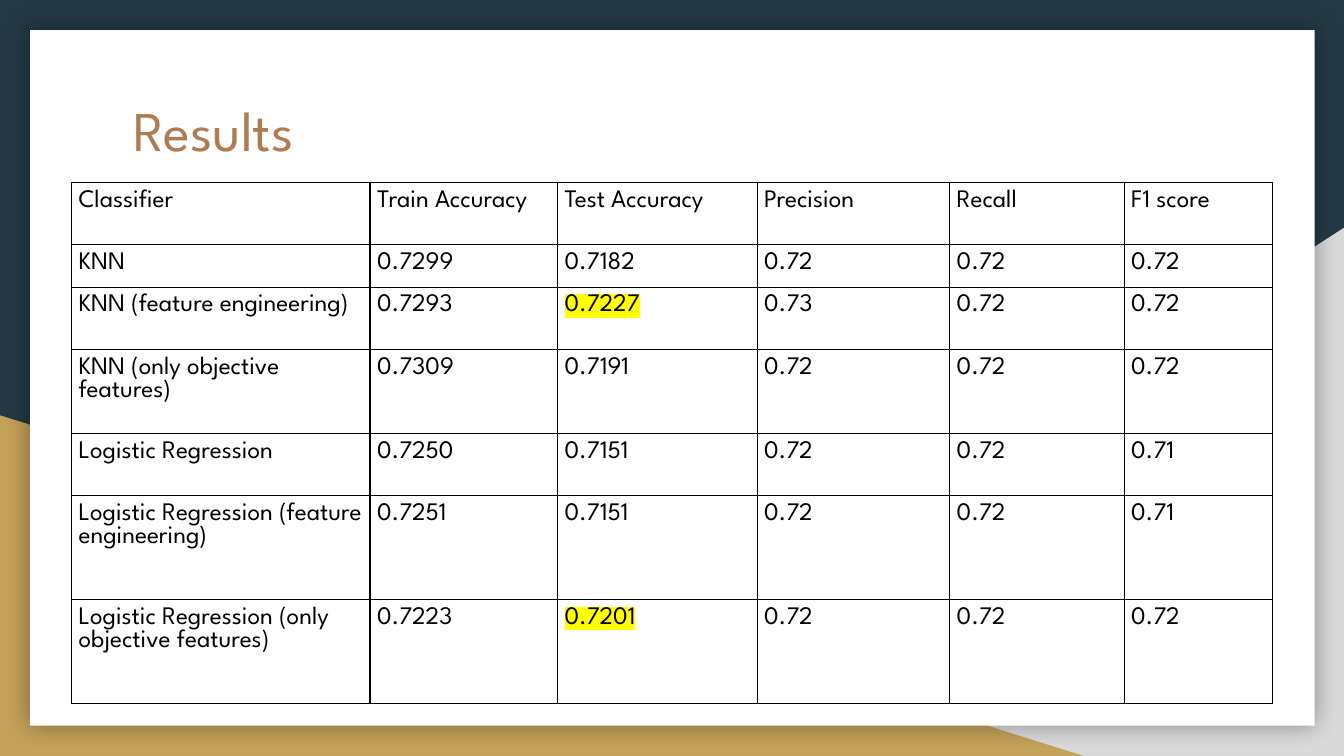
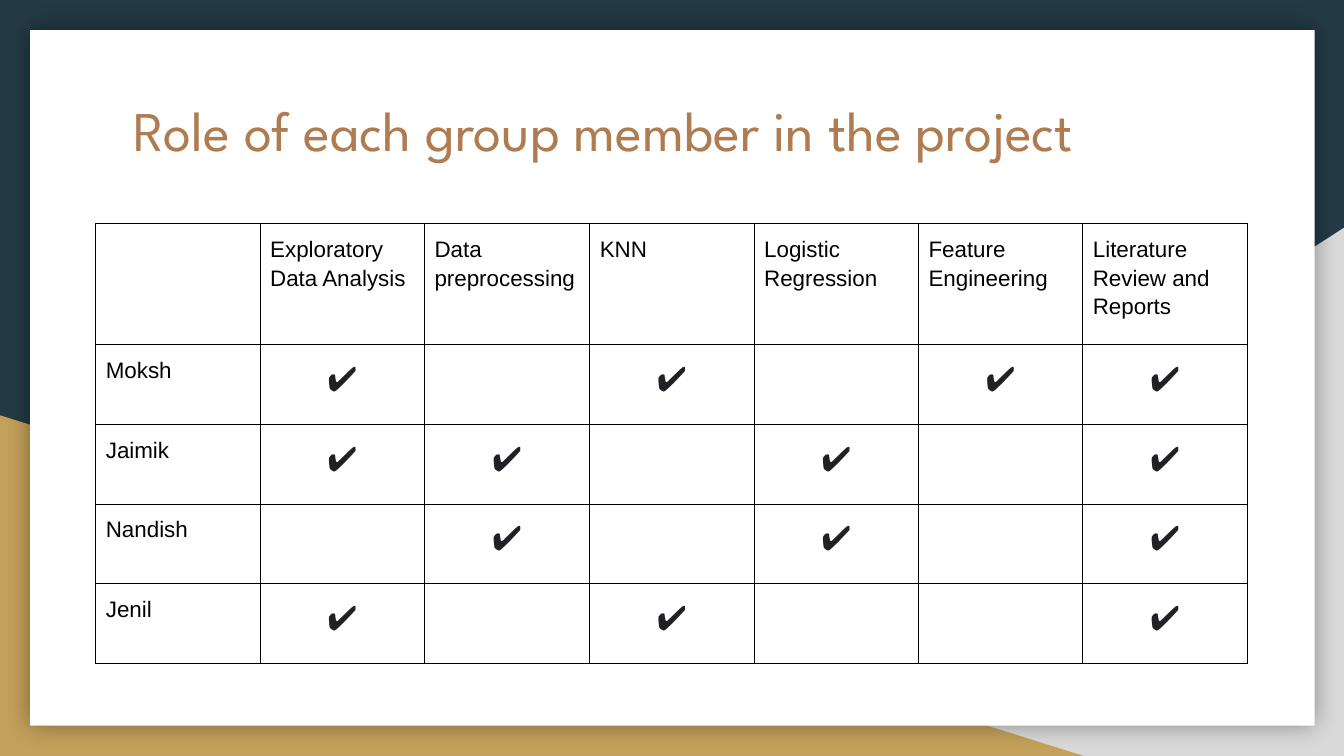
from dataclasses import dataclass
from lxml import etree
from pptx import Presentation, util as u
from pptx.dml import color
from pptx.enum import shapes, text
from pptx.oxml import ns

PX = 9144
HEAD, BODY = "League Spartan", "Arial"
INK, NAVY, GOLD, GREY, WHITE = "000000", "233A44", "C4A15A", "D9D9D9", "FFFFFF"
BROWN, MARK, GLOW = "AF7B51", "202124", "FFFF00"
TICK = "✔"


@dataclass
class Panel:
    kind: shapes.MSO_SHAPE
    box: tuple[int, int, int, int]
    fill: str
    flip: bool = False
    shade: bool = False


@dataclass
class Grid:
    title: str
    left: int
    top: int
    cols: list[int]
    rows: list[int]
    cells: list[list[str]]
    font: str
    size: int
    inset: int
    line: float
    space: float | None = None
    lit: tuple[str, ...] = ()


PANELS = [
    Panel(shapes.MSO_SHAPE.RIGHT_TRIANGLE, (522, 226, 811, 524), GREY, flip=True),
    Panel(shapes.MSO_SHAPE.RIGHT_TRIANGLE, (0, 412, 1075, 338), GOLD),
    Panel(shapes.MSO_SHAPE.RECTANGLE, (30, 30, 1274, 690), WHITE, shade=True),
]

SCORES = [
    ["Classifier", "Train Accuracy", "Test Accuracy", "Precision", "Recall", "F1 score"],
    ["KNN", "0.7299", "0.7182", "0.72", "0.72", "0.72"],
    ["KNN (feature engineering)", "0.7293", "0.7227", "0.73", "0.72", "0.72"],
    ["KNN (only objective features)", "0.7309", "0.7191", "0.72", "0.72", "0.72"],
    ["Logistic Regression", "0.7250", "0.7151", "0.72", "0.72", "0.71"],
    ["Logistic Regression (feature engineering)", "0.7251", "0.7151", "0.72", "0.72", "0.71"],
    ["Logistic Regression (only objective features)", "0.7223", "0.7201", "0.72", "0.72", "0.72"],
]

TASKS = ["Exploratory Data Analysis", "Data preprocessing", "KNN", "Logistic Regression",
         "Feature Engineering", "Literature Review and Reports"]
ROLES = {"Moksh": (0, 2, 4, 5), "Jaimik": (0, 1, 3, 5), "Nandish": (1, 3, 5), "Jenil": (0, 2, 5)}
DUTIES = [["", *TASKS]] + [
    [name, *(TICK if i in done else "" for i in range(len(TASKS)))]
    for name, done in ROLES.items()
]

GRIDS = [
    Grid("Results", 71, 181, [296, 186, 198, 191, 173, 147],
         [62, 42, 62, 83, 62, 103, 103], SCORES, HEAD, 18, 7, 1, lit=("0.7227", "0.7201")),
    Grid("Role of each group member in the project", 95, 222,
         [163, 163, 164, 163, 163, 163, 163], [120] + [79] * 4,
         DUTIES, BODY, 16, 10, 0.75, space=1.15),
]


def px(num: int) -> u.Emu:
    return u.Emu(num * PX)


def rgb(code: str) -> color.RGBColor:
    return color.RGBColor.from_string(code)


def sub(node, tag: str, **attrs):
    return etree.SubElement(node, ns.qn(tag), {key: str(val) for key, val in attrs.items()})


def add_run(para, words: str, font: str, size: float, tint: str, glow: str = "") -> None:
    run = para.add_run()
    run.text = words
    run.font.size = u.Pt(size)
    run.font.name = font
    run.font.color.rgb = rgb(tint)
    if glow:
        props = run.font._element
        light = sub(props, "a:highlight")
        sub(light, "a:srgbClr", val=glow)
        props.find(ns.qn("a:latin")).addprevious(light)


def draw_panel(slide, panel: Panel):
    shape = slide.shapes.add_shape(panel.kind, *map(px, panel.box))
    shape.fill.solid()
    shape.fill.fore_color.rgb = rgb(panel.fill)
    shape.line.fill.background()
    shape.shadow.inherit = False
    props = shape._element.spPr
    if panel.flip:
        props.xfrm.set("flipH", "1")
    if panel.shade:
        glow = sub(props.find(ns.qn("a:effectLst")), "a:outerShdw",
                   blurRad=u.Pt(18), dist=0, dir=0, algn="ctr", rotWithShape=0)
        sub(sub(glow, "a:srgbClr", val=INK), "a:alpha", val=40000)
    return shape


def set_base(deck, layout, slide) -> None:
    fill = deck.slide_master.background.fill
    fill.solid()
    fill.fore_color.rgb = rgb(NAVY)
    tree = layout.shapes._spTree
    for i, panel in enumerate(PANELS):
        tree.insert(2 + i, draw_panel(slide, panel)._element)


def add_title(slide, words: str) -> None:
    title = slide.shapes.title
    title.left, title.top, title.width, title.height = map(px, (119, 82, 1094, 139))
    frame = title.text_frame
    frame.margin_left = frame.margin_right = px(13)
    frame.margin_top = frame.margin_bottom = px(13)
    frame.vertical_anchor = text.MSO_ANCHOR.TOP
    frame.auto_size = text.MSO_AUTO_SIZE.NONE
    frame.word_wrap = True
    para = frame.paragraphs[0]
    para.alignment = text.PP_ALIGN.LEFT
    add_run(para, words, HEAD, 40, BROWN)


def edge_cell(cell, width: float) -> None:
    props = cell._tc.get_or_add_tcPr()
    for side in "LRTB":
        edge = sub(props, f"a:ln{side}", w=u.Pt(width))
        sub(sub(edge, "a:solidFill"), "a:srgbClr", val=INK)
    cell.fill.background()


def fill_cell(cell, words: str, grid: Grid) -> None:
    cell.margin_left = cell.margin_right = px(grid.inset)
    cell.margin_top = cell.margin_bottom = px(grid.inset)
    edge_cell(cell, grid.line)
    if not words:
        return
    para = cell.text_frame.paragraphs[0]
    para.line_spacing = grid.space
    if words == TICK:
        para.alignment = text.PP_ALIGN.CENTER
        add_run(para, words, grid.font, 24.5, MARK)
    else:
        add_run(para, words, grid.font, grid.size, INK, GLOW if words in grid.lit else "")


def add_grid(slide, grid: Grid) -> None:
    table = slide.shapes.add_table(
        len(grid.rows), len(grid.cols), px(grid.left), px(grid.top),
        px(sum(grid.cols)), px(sum(grid.rows))).table
    table.first_row = table.horz_banding = False
    for col, width in zip(table.columns, grid.cols):
        col.width = px(width)
    for row, height, line in zip(table.rows, grid.rows, grid.cells):
        row.height = px(height)
        for cell, words in zip(row.cells, line):
            fill_cell(cell, words, grid)


def main() -> None:
    deck = Presentation()
    deck.slide_width, deck.slide_height = px(1333), px(750)
    layout = deck.slide_layouts[5]
    for i, grid in enumerate(GRIDS):
        slide = deck.slides.add_slide(layout)
        if i == 0:
            set_base(deck, layout, slide)
        add_title(slide, grid.title)
        add_grid(slide, grid)
    deck.save("out.pptx")


if __name__ == "__main__":
    main()
